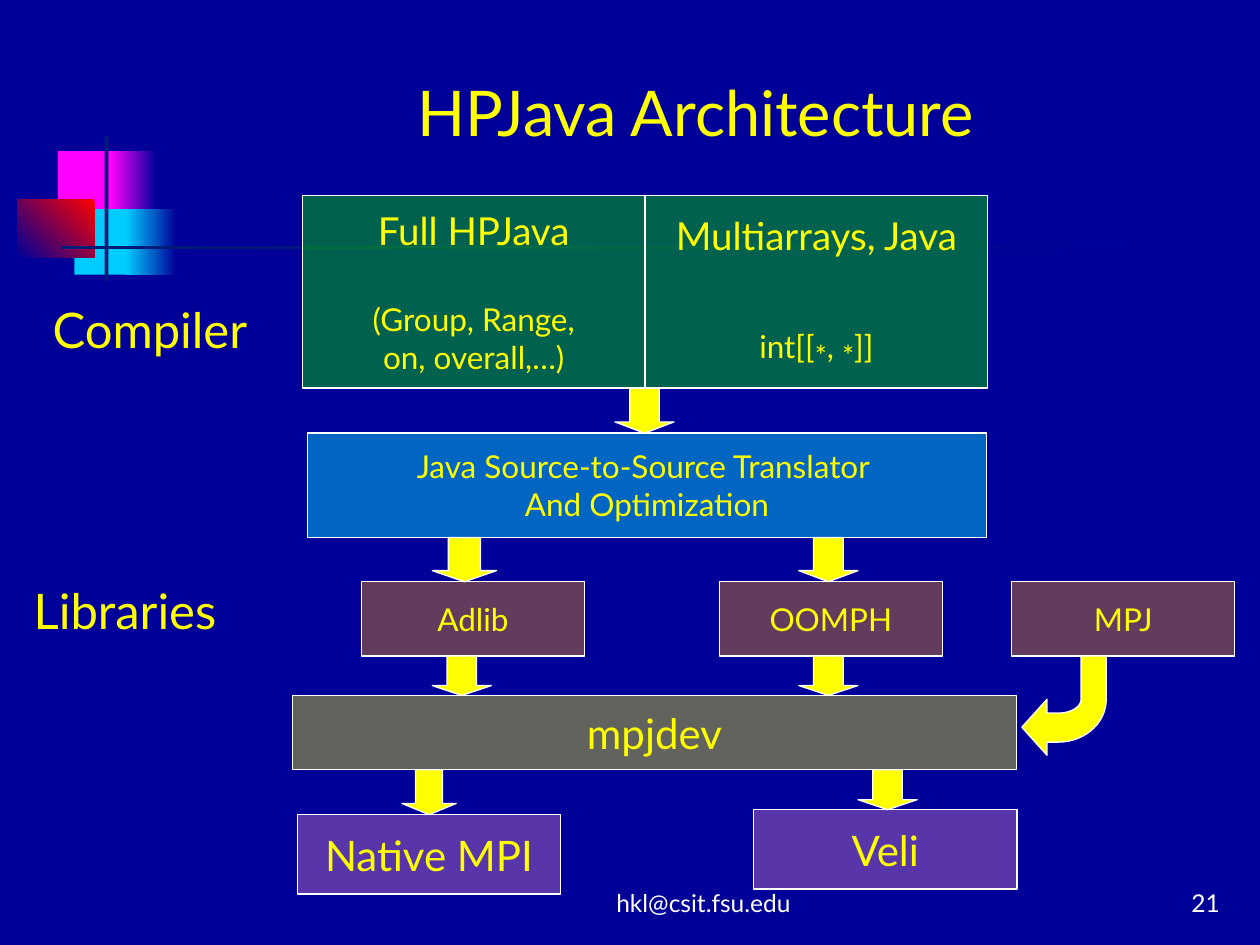
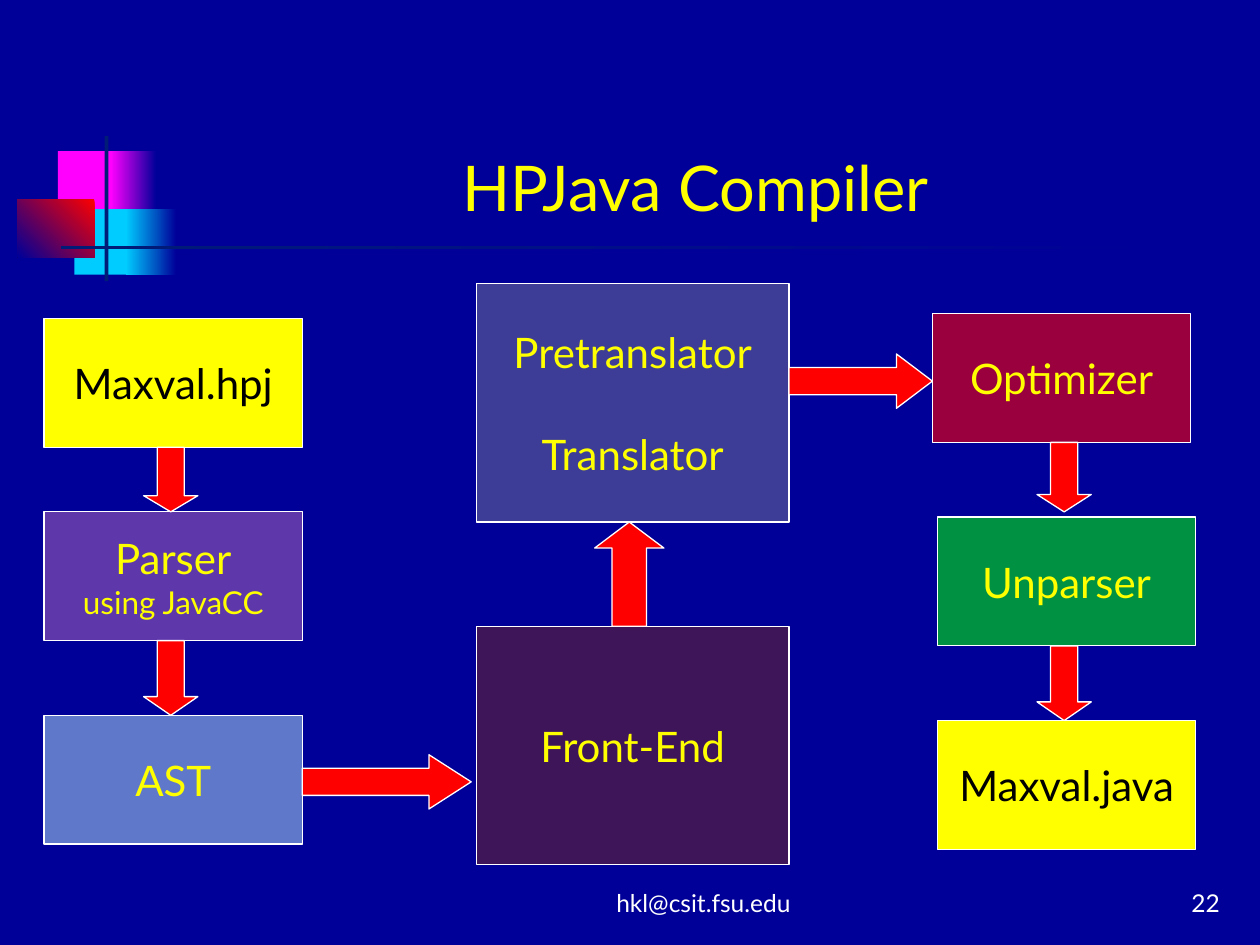
import math
from dataclasses import dataclass

from pptx import Presentation
from pptx.dml.color import RGBColor
from pptx.enum import shapes, text
from pptx.oxml.ns import qn
from pptx.util import Pt
from lxml import etree


@dataclass(frozen=True)
class Theme:
    font: str = "Lato"
    back: str = "000099"
    rule: str = "001C76"
    magenta: str = "FF00FF"
    cyan: str = "00CCFF"
    red: str = "FF0000"
    yellow: str = "FFFF00"
    white: str = "FFFFFF"
    black: str = "000000"
    green: str = "00CC00"
    aqua: str = "00FFFF"
    orange: str = "FF9900"
    pink: str = "FF99CC"
    ice: str = "CCFFFF"
    brown: str = "993300"
    grey: str = "969696"
    lime: str = "00FF00"
    title: int = 36
    label: int = 28
    box: int = 24
    heading: int = 22
    detail: int = 18
    footer: int = 14


theme = Theme()
KIND = shapes.MSO_SHAPE
ALIGN = text.PP_ALIGN
ANCHOR = text.MSO_ANCHOR


def paint(shape, color, alpha=100, outline=True):
    """Give a shape a flat, optionally translucent fill and a thin white line."""
    shape.shadow.inherit = False
    shape.fill.solid()
    shape.fill.fore_color.rgb = RGBColor.from_string(color)
    if alpha < 100:
        tint = shape.element.spPr.find(qn("a:solidFill"))[0]
        etree.SubElement(tint, qn("a:alpha"), val=str(alpha * 1000))
    if outline:
        shape.line.color.rgb = RGBColor.from_string(theme.white)
        shape.line.width = Pt(0.75)
    else:
        shape.line.fill.background()


def write(shape, lines, color=theme.yellow, align=ALIGN.CENTER,
          anchor=ANCHOR.MIDDLE, wrap=False):
    """Each line is (space before, run, ...); each run is (words, size[, baseline %])."""
    frame = shape.text_frame
    frame.word_wrap = wrap
    frame.vertical_anchor = anchor
    for number, (gap, *runs) in enumerate(lines):
        para = frame.add_paragraph() if number else frame.paragraphs[0]
        para.alignment = align
        para.space_before = Pt(gap)
        for words, size, *baseline in runs:
            span = para.add_run()
            span.text = words
            span.font.name = theme.font
            span.font.size = Pt(size)
            span.font.color.rgb = RGBColor.from_string(color)
            if baseline:
                span.font._element.set("baseline", str(baseline[0] * 1000))


deck = Presentation()
deck.slide_width, deck.slide_height = Pt(720), Pt(540)
master = deck.slide_master
master.background.fill.solid()
master.background.fill.fore_color.rgb = RGBColor.from_string(theme.back)

# Pages with title, footer and page number
pages = []
for name, title_height, number in (("HPJava Architecture", 72, 21),
                                   ("HPJava Compiler", 115.2, 22)):
    page = deck.slides.add_slide(deck.slide_layouts[5])
    pages.append(page)
    title = page.shapes.title
    title.left, title.top = Pt(90.7), Pt(16.6)
    title.width, title.height = Pt(613.4), Pt(title_height)
    title.text_frame.auto_size = text.MSO_AUTO_SIZE.NONE
    write(title, [(0, (name, theme.title))], anchor=ANCHOR.BOTTOM, wrap=True)
    for left, width, words, align in (
            (288, 228.2, "hkl@csit.fsu.edu", ALIGN.CENTER),
            (554.4, 149.8, str(number), ALIGN.RIGHT)):
        footer = page.shapes.add_textbox(Pt(left), Pt(491.8), Pt(width), Pt(36))
        write(footer, [(0, (words, theme.footer))], theme.white, align,
              ANCHOR.BOTTOM, True)
architecture, compiler = pages

# Master ornament: (place, colour or gradient from/to, angle)
ornaments = (
    ((33.1, 86.4, 34.6, 37.4), theme.magenta, None, 0),
    ((63.4, 86.4, 25.9, 37.4), theme.back, theme.magenta, 180),
    ((42.5, 119.5, 33.1, 37.4), theme.cyan, None, 0),
    ((72, 119.5, 28.8, 37.4), theme.back, theme.cyan, 180),
    ((10.1, 113.8, 43.9, 33.1), theme.red, theme.back, 225),
    ((59.8, 77.8, 2.2, 82.8), theme.rule, None, 0),
    ((34.6, 140.4, 648, 2.2), theme.back, theme.rule, 180),
)
for order, (place, start, end, angle) in enumerate(ornaments):
    ornament = architecture.shapes.add_shape(KIND.RECTANGLE, *map(Pt, place))
    paint(ornament, start, outline=False)
    if end:
        ornament.fill.gradient()
        ornament.fill.gradient_angle = angle
        for stop, color, position in zip(ornament.fill.gradient_stops, (start, end), (0, 1)):
            stop.color.rgb = RGBColor.from_string(color)
            stop.position = position
    ornament.element.nvSpPr.cNvPr.id = 100 + order
    master.element.cSld.spTree.insert(2 + order, ornament.element)

# Boxes: (place, fill, alpha, text colour, lines)
half_width, library_size, base_size = 195.8, (127.4, 42.5), (150.5, 45.4)
architecture_boxes = [
    ((172.8, 111.6, half_width, 110.2), theme.green, 48, theme.yellow,
     [(0, ("Full HPJava", theme.heading)),
      (26.8, ("(Group, Range,", theme.detail)),
      (0, ("on, overall,…)", theme.detail))]),
    ((172.8 + half_width, 111.6, half_width, 110.2), theme.green, 48, theme.yellow,
     [(0, ("Multiarrays, Java", theme.heading)),
      (29.3, ("int[[", theme.detail), ("*", theme.label, -16), (", ", theme.detail),
       ("*", theme.label, -16), ("]]", theme.detail))]),
    ((175.7, 247.5, 388.1, 59.6), theme.aqua, 40, theme.yellow,
     [(0, ("Java Source-to-Source Translator ", theme.detail)),
      (0, ("And Optimization", theme.detail))]),
    ((167, 397.4, 414, 42.5), theme.yellow, 39, theme.yellow, [(0, ("mpjdev", theme.box))]),
    ((169.9, 465.5, *base_size), theme.pink, 35, theme.yellow,
     [(0, ("Native MPI", theme.box))]),
    ((430.6, 462.7, *base_size), theme.pink, 35, theme.yellow, [(0, ("Veli", theme.box))]),
]
for left, library in ((206.6, "Adlib"), (411.1, "OOMPH"), (578.2, "MPJ")):
    architecture_boxes.append(((left, 332.4, *library_size), theme.orange, 39,
                               theme.yellow, [(0, (library, theme.detail))]))

step_size, stage_size = (147.6, 73.6), (178.6, 136.1)
compiler_boxes = [
    ((272.2, 162.2, *stage_size), theme.grey, 41, theme.yellow,
     [(0, ("Pretranslator", theme.box)), (29.3, ("Translator", theme.box))]),
    ((272.2, 357.9, *stage_size), theme.brown, 41, theme.yellow,
     [(0, ("Front-End", theme.box))]),
    ((25.2, 292.5, *step_size), theme.pink, 37, theme.yellow,
     [(0, ("Parser", theme.box)), (0, ("using JavaCC", theme.detail))]),
]
for left, top, fill, alpha, color, step in (
        (25.2, 182, theme.yellow, 100, theme.black, "Maxval.hpj"),
        (25.2, 408.8, theme.ice, 47, theme.yellow, "AST"),
        (532.8, 179.2, theme.red, 60, theme.yellow, "Optimizer"),
        (535.7, 295.5, theme.lime, 57, theme.yellow, "Unparser"),
        (535.7, 411.8, theme.yellow, 100, theme.black, "Maxval.java")):
    compiler_boxes.append(((left, top, *step_size), fill, alpha, color,
                           [(0, (step, theme.box))]))

for page, boxes in ((architecture, architecture_boxes), (compiler, compiler_boxes)):
    for place, fill, alpha, color, lines in boxes:
        box = page.shapes.add_shape(KIND.RECTANGLE, *map(Pt, place))
        paint(box, fill, alpha)
        write(box, lines, color)

# Block arrows on both pages
architecture_arrows = (
    (351.4, 221.8, 33.8, 25.7),
    (247, 307.1, 36.7, 25.3),
    (456.5, 307.1, 33.8, 25.3),
    (247, 374.9, 33.8, 22.5),
    (456.5, 374.9, 33.8, 22.5),
    (229.7, 439.9, 31, 25.6),
    (490.3, 439.9, 33.8, 22.8),
)
for place in architecture_arrows:
    arrow = architecture.shapes.add_shape(KIND.DOWN_ARROW, *map(Pt, place))
    arrow.adjustments[1] = 0.25
    paint(arrow, theme.yellow)

compiler_arrows = (
    (KIND.DOWN_ARROW, (82.1, 255.6, 31, 36.9)),
    (KIND.DOWN_ARROW, (82.1, 366.1, 31, 42.7)),
    (KIND.RIGHT_ARROW, (172.8, 431.3, 96.5, 31)),
    (KIND.UP_ARROW, (339.8, 298.3, 39.6, 59.6)),
    (KIND.RIGHT_ARROW, (450.8, 202.3, 82, 31)),
    (KIND.DOWN_ARROW, (592.6, 252.8, 31, 39.7)),
    (KIND.DOWN_ARROW, (592.6, 369.1, 31, 42.7)),
)
for kind, place in compiler_arrows:
    arrow = compiler.shapes.add_shape(kind, *map(Pt, place))
    # The head takes a quarter of the arrow's length
    arrow.adjustments[1] = max(place[2:]) / min(place[2:]) / 4
    paint(arrow, theme.red)

# Bent arrow from MPJ to mpjdev: two quarter ellipses around one centre
center_x, center_y = 604.8, 399.6
turns = [math.radians(degrees) for degrees in range(0, 91, 6)]
outer, inner = ([(center_x + wide * math.cos(turn), center_y + high * math.sin(turn))
                 for turn in turns] for wide, high in ((27.4, 24.5), (13, 7.9)))
outline = [(632.2, 374.9), *outer, (598.3, 424.1), (598.3, 431.6), (583.9, 415.6),
           (598.3, 399.6), (598.3, 407.5), *reversed(inner), (617.8, 374.9)]
corners = [(Pt(x), Pt(y)) for x, y in outline]
builder = architecture.shapes.build_freeform(*corners[0])
builder.add_line_segments(corners[1:], close=True)
paint(builder.convert_to_shape(), theme.yellow)

# Layer labels
for label, left, top, width in (("Compiler", 23, 167.8, 133.9),
                                ("Libraries", 12.2, 328.3, 128.2)):
    box = architecture.shapes.add_textbox(Pt(left), Pt(top), Pt(width), Pt(41))
    write(box, [(0, (label, theme.label))], align=ALIGN.LEFT, anchor=ANCHOR.TOP)

deck.save("out.pptx")
